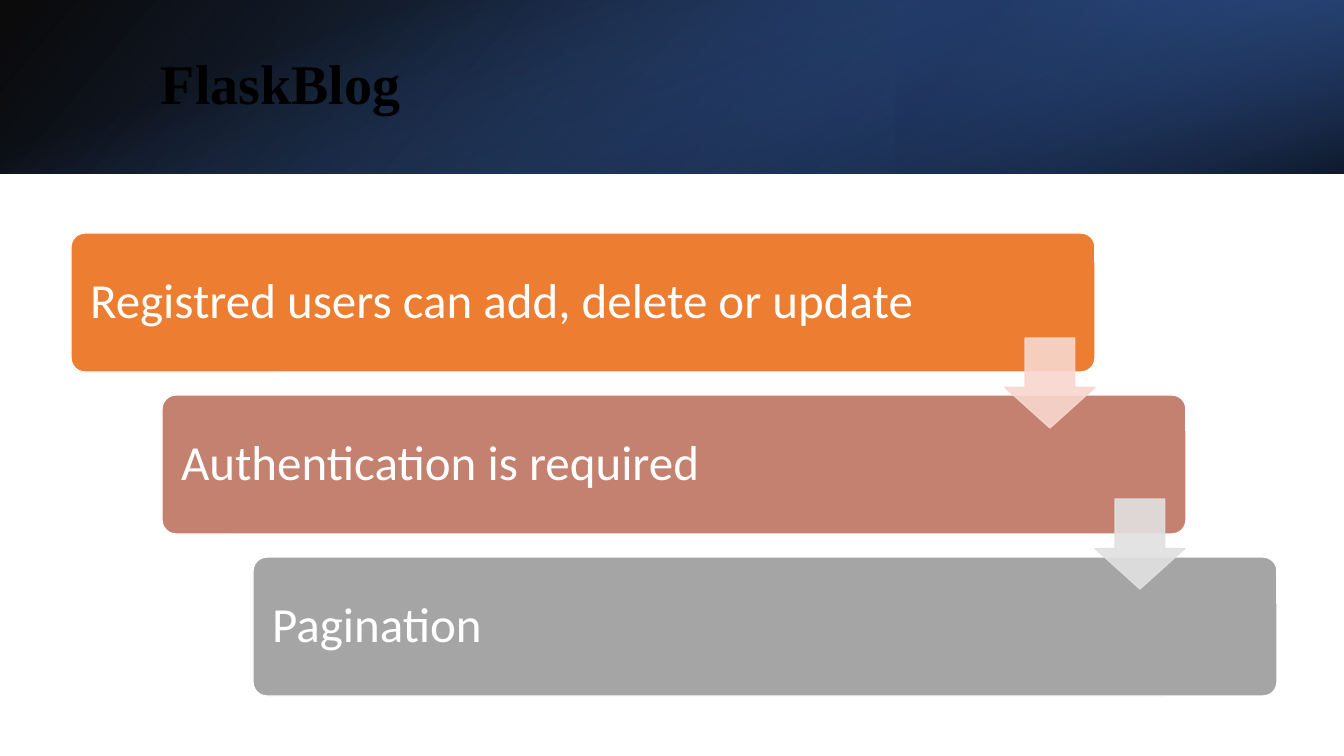
from lxml.etree import SubElement
from pptx import Presentation
from pptx.dml.color import RGBColor
from pptx.enum.shapes import MSO_SHAPE
from pptx.enum.text import MSO_ANCHOR, PP_ALIGN
from pptx.oxml.ns import qn
from pptx.util import Emu, Pt

SCALE = 12192000 / 1344  # EMU per px
THEME = {
    "title": "000000",
    "title_font": "Times New Roman",
    "title_size": 40,
    "card_text": "FFFFFF",
    "card_font": "Calibri",
    "card_size": 35,
    "cards": ["ED7D31", "C48170", "A5A5A5"],
    "arrows": ["F8D7CE", "E1E1E1"],
}

deck = Presentation()
deck.slide_width, deck.slide_height = Emu(12192000), Emu(6858000)
page = deck.slides.add_slide(deck.slide_layouts[6])


def add_block(kind, frame, color=None, outline=None):
    block = page.shapes.add_shape(kind, *[Emu(round(v * SCALE)) for v in frame])
    block.shadow.inherit = False
    if color:
        block.fill.solid()
        block.fill.fore_color.rgb = RGBColor.from_string(color)
    if outline:
        block.line.color.rgb = RGBColor.from_string(outline)
        block.line.width = Pt(1)
    else:
        block.line.fill.background()
    return block


def write_line(box, text, font, size, color, bold=False):
    frame = box.text_frame
    frame.word_wrap = True
    frame.vertical_anchor = MSO_ANCHOR.MIDDLE
    frame.text = text
    para = frame.paragraphs[0]
    para.alignment = PP_ALIGN.LEFT
    para.line_spacing = 0.9
    span = para.runs[0]
    span.font.name, span.font.size, span.font.bold = font, Pt(size), bold
    span.font.color.rgb = RGBColor.from_string(color)


# Header: three layered gradients (frame, rotation, flipped, angle, stops)
header_layers = [
    ((0, 0, 1344, 174), 0, True, 140, [(0, "000000", 96), (100, "2F5597", 100)]),
    ((896, 0, 448, 174), 180, True, 320, [(19, "203864", 68), (100, "4472C4", 79)]),
    ((585, -585, 174, 1344), 90, False, 340, [(23, "4472C4", 0), (99, "000000", 74)]),
]
for frame, rotation, flipped, angle, stops in header_layers:
    layer = add_block(MSO_SHAPE.RECTANGLE, frame)
    layer.rotation = rotation
    properties = layer._element.spPr
    if flipped:
        properties.find(qn("a:xfrm")).set("flipH", "1")
    layer.fill.gradient()
    gradient = properties.find(qn("a:gradFill"))
    for child in list(gradient):
        gradient.remove(child)
    stop_list = SubElement(gradient, qn("a:gsLst"))
    for position, color, opacity in stops:
        stop = SubElement(stop_list, qn("a:gs"), pos=str(position * 1000))
        tint = SubElement(stop, qn("a:srgbClr"), val=color)
        SubElement(tint, qn("a:alpha"), val=str(opacity * 1000))
    SubElement(gradient, qn("a:lin"), ang=str(angle * 60000), scaled="0")

# Title
title = page.shapes.add_textbox(*[Emu(round(v * SCALE)) for v in (151, 38, 1046, 97)])
write_line(title, "FlaskBlog", THEME["title_font"], THEME["title_size"],
           THEME["title"], bold=True)

# Staggered cards
steps = ["Registred users can add, delete or update",
         "Authentication is required",
         "Pagination"]
for index, (step, color) in enumerate(zip(steps, THEME["cards"])):
    card = add_block(MSO_SHAPE.ROUNDED_RECTANGLE,
                     (71 + 91 * index, 233 + 162 * index, 1024, 139),
                     color, THEME["card_text"])
    card.adjustments[0] = 0.1
    card.text_frame.margin_left = card.text_frame.margin_right = Emu(round(15 * SCALE))
    write_line(card, step, THEME["card_font"], THEME["card_size"], THEME["card_text"])

# Arrows from each card to the next
for index, color in enumerate(THEME["arrows"]):
    arrow = add_block(MSO_SHAPE.DOWN_ARROW,
                      (1005 + 90 * index, 338 + 161 * index, 90, 90), color, color)
    arrow.adjustments[0], arrow.adjustments[1] = 0.55, 0.45
    for tint in arrow._element.spPr.iter(qn("a:srgbClr")):
        SubElement(tint, qn("a:alpha"), val="90000")

deck.save("out.pptx")
